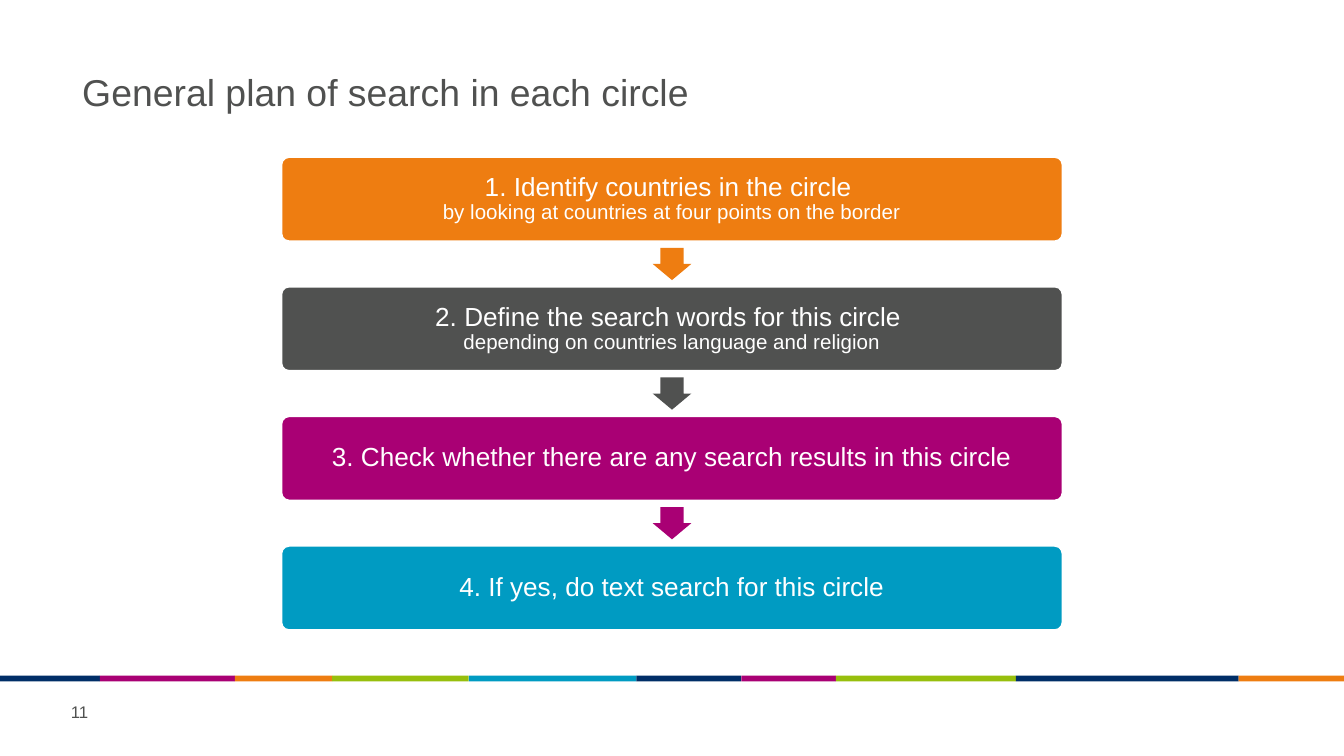
from dataclasses import dataclass
from itertools import pairwise

from pptx import Presentation
from pptx.dml.color import RGBColor as RGB
from pptx.enum.shapes import MSO_SHAPE as SHAPE
from pptx.enum.text import MSO_ANCHOR as ANCHOR, MSO_AUTO_SIZE as FIT, PP_ALIGN as ALIGN
from pptx.util import Cm, Pt


@dataclass(frozen=True)
class Theme:
    font: str = "Arial"
    white: str = "FFFFFF"
    grey: str = "505150"
    orange: str = "EE7D11"
    purple: str = "A90074"
    blue: str = "009BC2"
    navy: str = "002E67"
    green: str = "97BF0D"
    title: int = 20
    step: int = 14
    detail: int = 11
    number: int = 9


class Deck:
    """Holds the theme and the current slide."""

    def __init__(self, prs, theme):
        self.theme = theme
        self.s = prs.slides.add_slide(prs.slide_layouts[5])

    def run(self, p, text, size, color):
        r = p.add_run()
        r.text = text
        r.font.name = self.theme.font
        r.font.size = Pt(size)
        r.font.color.rgb = RGB.from_string(color)

    def shape(self, kind, x, y, w, h, fill):
        sp = self.s.shapes.add_shape(kind, Cm(x), Cm(y), Cm(w), Cm(h))
        sp.shadow.inherit = False
        sp.fill.solid()
        sp.fill.fore_color.rgb = RGB.from_string(fill)
        sp.line.fill.background()
        return sp

    def title(self, text, x, y, w, h):
        sp = self.s.shapes.title
        sp.left, sp.top, sp.width, sp.height = Cm(x), Cm(y), Cm(w), Cm(h)
        tf = sp.text_frame
        tf.auto_size = FIT.NONE
        tf.vertical_anchor = ANCHOR.MIDDLE
        p = tf.paragraphs[0]
        p.alignment = ALIGN.LEFT
        self.run(p, text, self.theme.title, self.theme.grey)

    def page_number(self, text, x, y, w, h):
        tf = self.s.shapes.add_textbox(Cm(x), Cm(y), Cm(w), Cm(h)).text_frame
        tf.word_wrap = True
        self.run(tf.paragraphs[0], text, self.theme.number, self.theme.grey)

    def ribbon(self, y, h, edges, colors):
        for (x, end), color in zip(pairwise(edges), colors):
            self.shape(SHAPE.RECTANGLE, x, y, end - x, h, color)

    def step(self, x, y, w, h, fill, head, detail):
        sp = self.shape(SHAPE.ROUNDED_RECTANGLE, x, y, w, h, fill)
        sp.adjustments[0] = 0.1
        sp.line.color.rgb = RGB.from_string(self.theme.white)
        sp.line.width = Pt(2)
        tf = sp.text_frame
        tf.word_wrap = True
        tf.vertical_anchor = ANCHOR.MIDDLE
        tf.margin_left = tf.margin_right = Cm(0.2)
        tf.margin_top = tf.margin_bottom = Cm(0.2)
        p = tf.paragraphs[0]
        p.alignment = ALIGN.CENTER
        p.line_spacing = 0.9
        self.run(p, head, self.theme.step, self.theme.white)
        if detail:
            p.add_line_break()
            self.run(p, detail, self.theme.detail, self.theme.white)

    def arrow(self, x, y, w, h, fill):
        sp = self.shape(SHAPE.RIGHT_ARROW, x, y, w, h, fill)
        sp.rotation = 90
        sp.adjustments[0] = 0.6
        sp.adjustments[1] = 0.5


def main():
    prs = Presentation()
    prs.slide_width, prs.slide_height = Cm(25.4), Cm(14.29)
    t = Theme()
    deck = Deck(prs, t)

    # Coloured ribbon above the footer
    deck.ribbon(
        12.77, 0.11,
        [0, 1.89, 4.44, 6.28, 8.86, 12.03, 14.01, 15.8, 19.2, 23.41, 25.4],
        [t.navy, t.purple, t.orange, t.green, t.blue,
         t.navy, t.purple, t.green, t.navy, t.orange],
    )

    # Title and page number
    deck.title("General plan of search in each circle", 1.3, 1.14, 22.8, 1.19)
    deck.page_number("11", 1.09, 13.13, 1.4, 0.76)

    # Search steps, with an arrow from each to the next
    steps = [
        (t.orange, "1. Identify countries in the circle ",
         "by looking at countries at four points on the border"),
        (t.grey, "2. Define the search words for this circle ",
         "depending on countries language and religion"),
        (t.purple, "3. Check whether there are any search results in this circle", ""),
        (t.blue, "4. If yes, do text search for this circle", ""),
    ]
    top, pitch, box_w, box_h = 2.95, 2.45, 14.8, 1.63
    arrow_w, arrow_h = 0.61, 0.73
    middle = 25.4 / 2
    for i, (color, head, detail) in enumerate(steps):
        y = top + i * pitch
        deck.step(middle - box_w / 2, y, box_w, box_h, color, head, detail)
        if i < len(steps) - 1:
            gap_middle = y + (box_h + pitch) / 2
            deck.arrow(middle - arrow_w / 2, gap_middle - arrow_h / 2,
                       arrow_w, arrow_h, color)

    prs.save("out.pptx")


if __name__ == "__main__":
    main()
